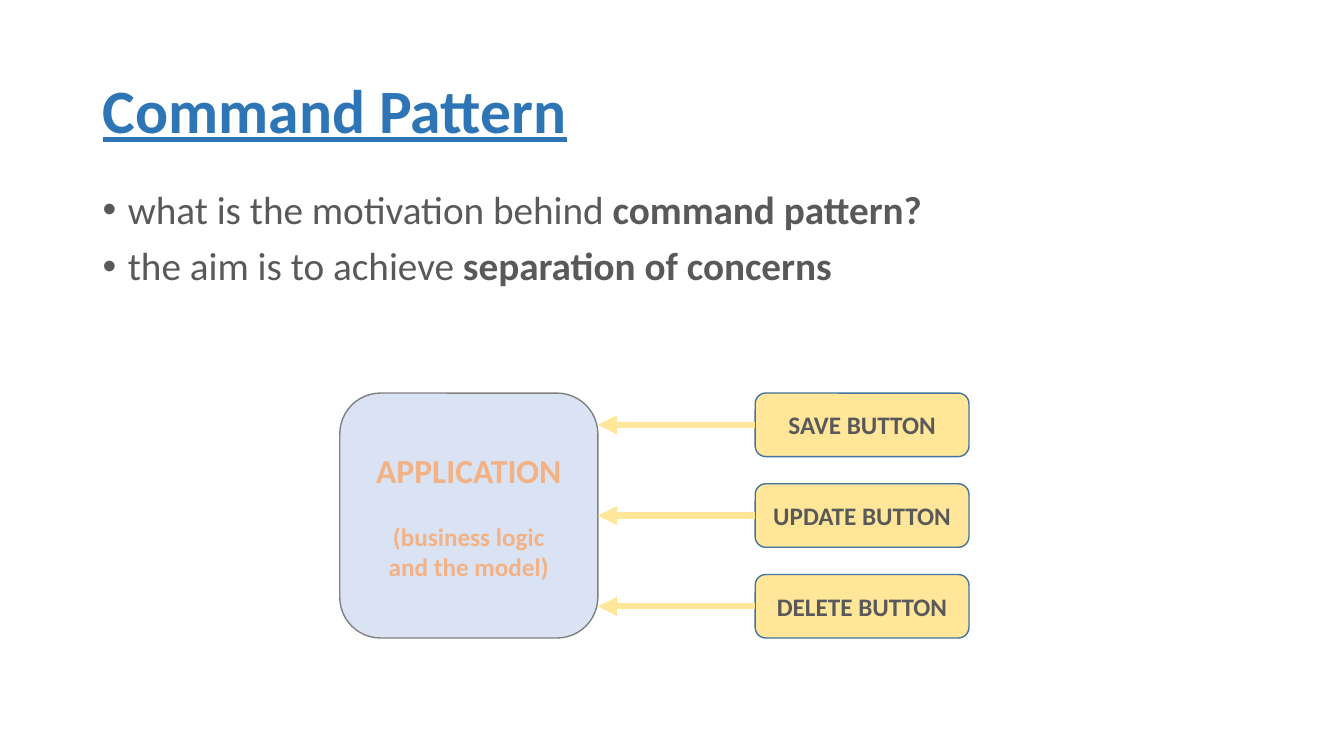
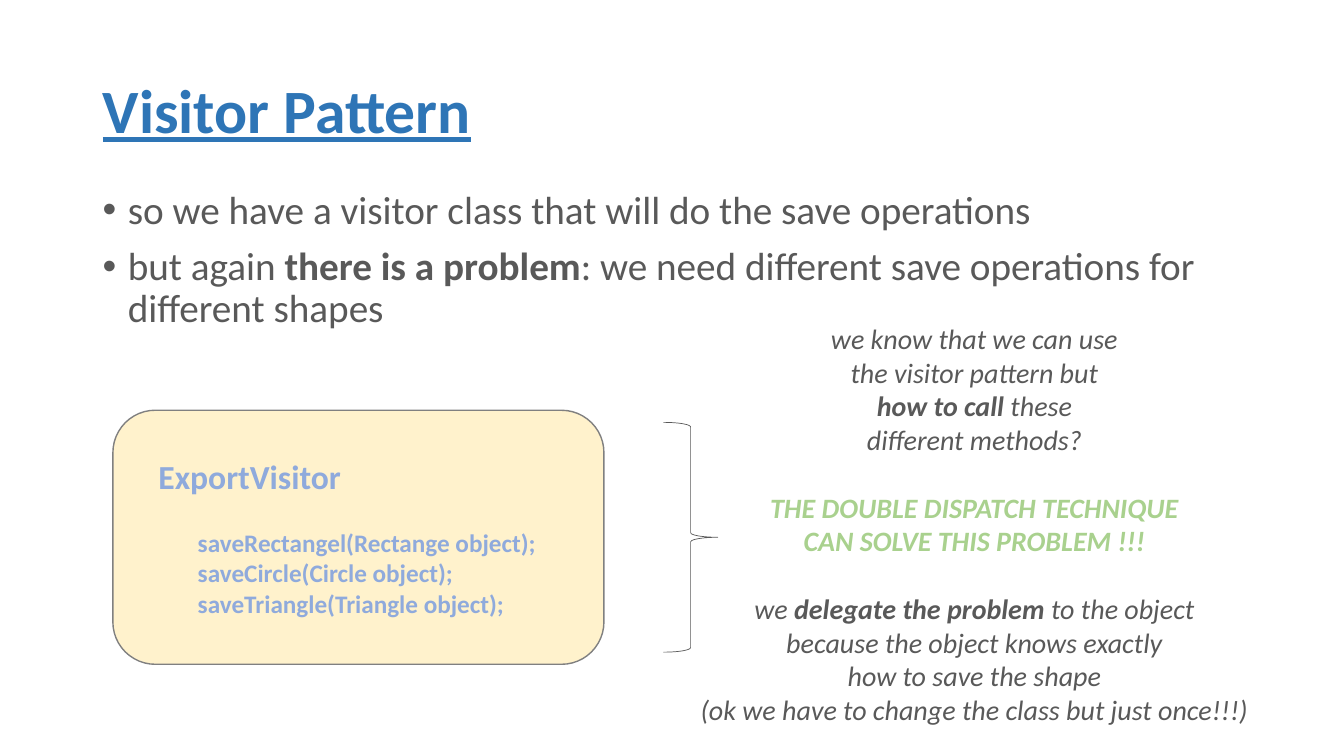
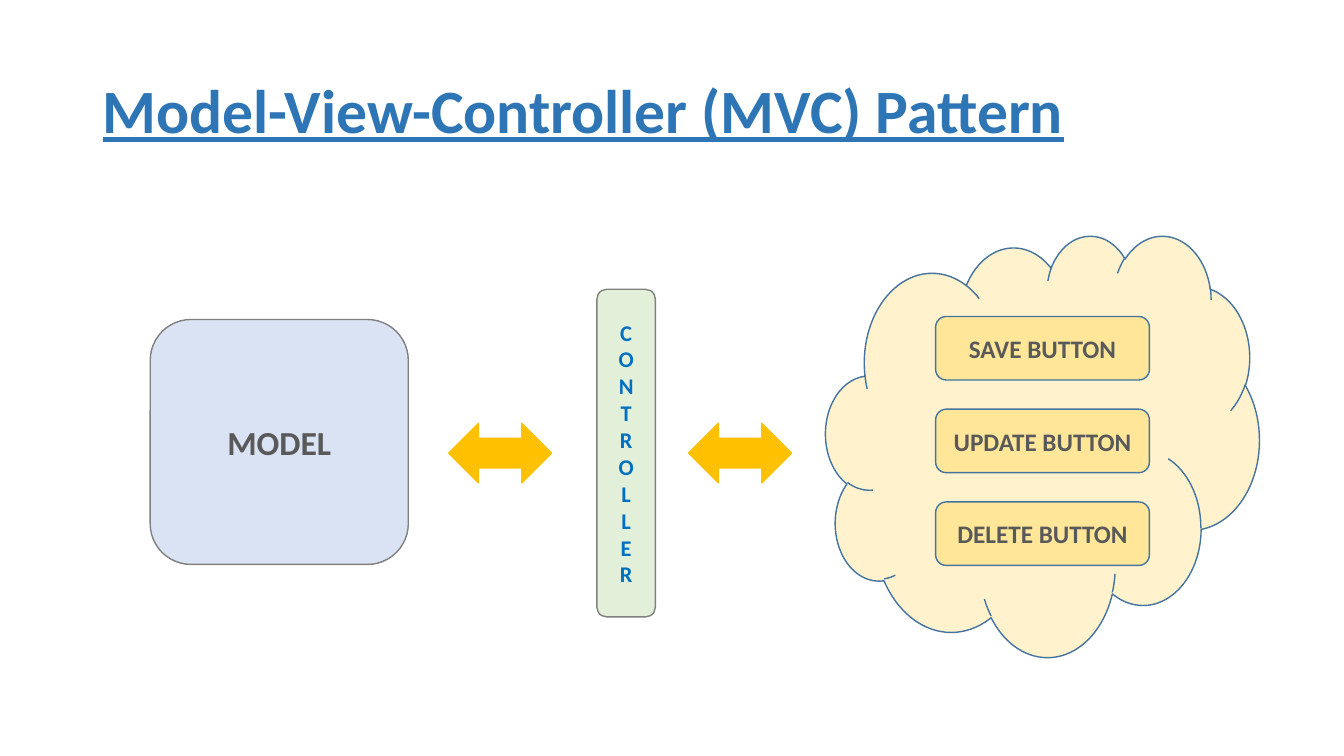
import pptx
import pptx.dml.color
import pptx.enum.shapes
import pptx.enum.text
import pptx.oxml
import pptx.oxml.ns
import pptx.util

Inches = pptx.util.Inches
Pt = pptx.util.Pt
SHAPE = pptx.enum.shapes.MSO_SHAPE
ALIGN = pptx.enum.text.PP_ALIGN
ANCHOR = pptx.enum.text.MSO_ANCHOR

# Shared palette
GRAY, EDGE_GRAY, EDGE_BLUE = "595959", "808080", "43739E"
TITLE_BLUE, PALE_BLUE = "2E75B6", "DAE3F3"
YELLOW, PALE_YELLOW, GOLD = "FFE699", "FFF2CC", "FFC000"

BUTTON_NAMES = ("SAVE BUTTON", "UPDATE BUTTON", "DELETE BUTTON")
BUTTON_WIDTH, BUTTON_HEIGHT = 2.12, 0.63


def color(value):
    return pptx.dml.color.RGBColor.from_string(value)


def xml_element(tag, **attributes):
    element = pptx.oxml.parse_xml(
        f"<a:{tag} {pptx.oxml.ns.nsdecls('a')}/>")
    for name, value in attributes.items():
        element.set(name, value)
    return element


class PatternDeck:
    """Holds the style and the current slide."""

    font_name = "Calibri"

    def __init__(self):
        self.deck = pptx.Presentation()
        self.deck.slide_width = Inches(13.33)
        self.deck.slide_height = Inches(7.5)
        self.slide = None

    def add_page(self, title):
        self.slide = self.deck.slides.add_slide(self.deck.slide_layouts[5])
        holder = self.slide.shapes.title
        place = {"left": 0.92, "top": 0.4, "width": 11.5, "height": 1.45}
        for name, value in place.items():
            setattr(holder, name, Inches(value))
        frame = holder.text_frame
        frame.auto_size = pptx.enum.text.MSO_AUTO_SIZE.NONE
        frame.vertical_anchor = ANCHOR.MIDDLE
        self.fill_paragraph(frame.paragraphs[0], title, 44, TITLE_BLUE,
                            {"bold": True, "underline": True},
                            {"alignment": ALIGN.LEFT, "line_spacing": 0.9})

    def fill_paragraph(self, para, text, size, hue=GRAY, font=None,
                       layout=None, indent=0, bullet=False):
        """Fill a paragraph; text between ** marks is bold."""
        properties = para._p.get_or_add_pPr()
        if indent:
            properties.set("marL", str(Inches(indent)))
        if bullet:
            properties.set("indent", str(-Inches(indent)))
            properties.append(xml_element("buFont", typeface="Arial"))
            properties.append(xml_element("buChar", char="•"))
        for name, value in (layout or {}).items():
            setattr(para, name, value)
        for index, part in enumerate(text.split("**")):
            if not part:
                continue
            span = para.add_run()
            span.text = part
            formats = {"name": self.font_name, "size": Pt(size),
                       "bold": index % 2 == 1, **(font or {})}
            for name, value in formats.items():
                setattr(span.font, name, value)
            span.font.color.rgb = color(hue)

    def fill_frame(self, frame, lines):
        """Each line is a dict of arguments for fill_paragraph."""
        for index, line in enumerate(lines):
            para = frame.add_paragraph() if index else frame.paragraphs[0]
            self.fill_paragraph(para, **line)

    def text_box(self, left, top, width, height, lines, wrap=True):
        box = self.slide.shapes.add_textbox(
            Inches(left), Inches(top), Inches(width), Inches(height))
        box.text_frame.word_wrap = wrap
        self.fill_frame(box.text_frame, lines)

    def bullets(self, *texts):
        lines = []
        for index, text in enumerate(texts):
            layout = {"line_spacing": 0.9,
                      "space_before": Pt(10 if index else 0)}
            lines.append({"text": text, "size": 28, "layout": layout,
                          "indent": 0.25, "bullet": True})
        self.text_box(0.92, 1.84, 11.5, 5.34, lines)

    def shape(self, kind, left, top, width, height, fill, edge,
              lines=(), edge_width=1):
        shape = self.slide.shapes.add_shape(
            kind, Inches(left), Inches(top), Inches(width), Inches(height))
        shape.shadow.inherit = False
        if fill:
            shape.fill.solid()
            shape.fill.fore_color.rgb = color(fill)
        else:
            shape.fill.background()
        shape.line.color.rgb = color(edge)
        shape.line.width = Pt(edge_width)
        shape.text_frame.vertical_anchor = ANCHOR.MIDDLE
        self.fill_frame(shape.text_frame, lines)
        return shape

    def panel(self, left, top, width, height, fill, lines, edge=EDGE_GRAY):
        return self.shape(SHAPE.ROUNDED_RECTANGLE, left, top, width, height,
                          fill, edge, lines)

    def button_column(self, left, top, pitch):
        return [self.panel(left, top + index * pitch, BUTTON_WIDTH,
                           BUTTON_HEIGHT, YELLOW, [centered(name, 18)],
                           EDGE_BLUE)
                for index, name in enumerate(BUTTON_NAMES)]

    def arrow(self, button, target):
        """Arrow from a button's left side straight to the target's right."""
        middle = button.top + button.height // 2
        arrow = self.slide.shapes.add_connector(
            pptx.enum.shapes.MSO_CONNECTOR.STRAIGHT,
            button.left, middle, target.left + target.width, middle)
        arrow.begin_connect(button, 1)
        if abs(middle - target.top - target.height // 2) < Inches(0.01):
            arrow.end_connect(target, 3)
        arrow.line.color.rgb = color(YELLOW)
        arrow.line.width = Pt(4.5)
        properties = arrow._element.spPr
        properties.find(pptx.oxml.ns.qn("a:ln")).append(
            xml_element("tailEnd", type="triangle"))
        properties.append(xml_element("effectLst"))


def centered(text, size, hue=GRAY, before=0, **font):
    return {"text": text, "size": size, "hue": hue,
            "font": font or {"bold": True},
            "layout": {"alignment": ALIGN.CENTER, "space_before": Pt(before)}}


def command_page(pages):
    pages.add_page("Command Pattern")
    pages.bullets("what is the motivation behind **command pattern?**",
                  "the aim is to achieve **separation of concerns**")

    # Buttons that call the application
    buttons = pages.button_column(7.49, 3.9, 0.9)
    orange = "F4B183"
    application = pages.panel(3.37, 3.9, 2.56, 2.43, PALE_BLUE, [
        centered("APPLICATION", 24, orange),
        centered("(business logic", 18, orange, before=22),
        centered("and the model)", 18, orange)])
    for button in buttons:
        pages.arrow(button, application)


def visitor_page(pages):
    pages.add_page("Visitor Pattern")
    pages.bullets(
        "so we have a visitor class that will do the save operations",
        "but again **there is a problem**: we need different save operations "
        "for different shapes")

    # Class card: name, then its methods
    members = [("ExportVisitor", 24, 0.23, 0),
               ("saveRectangel(Rectange object);", 18, 0.62, 22),
               ("saveCircle(Circle object);", 18, 0.62, 0),
               ("saveTriangle(Triangle object);", 18, 0.62, 0)]
    pages.panel(1.12, 4.07, 4.87, 2.52, PALE_YELLOW, [
        {"text": text, "size": size, "hue": "8FAADC", "indent": indent,
         "font": {"bold": True},
         "layout": {"alignment": ALIGN.LEFT, "space_before": Pt(before)}}
        for text, size, indent, before in members])
    pages.shape(SHAPE.RIGHT_BRACE, 6.58, 4.19, 0.54, 2.28, None, GRAY,
                edge_width=0.5)

    # Remarks beside the brace, in three groups
    groups = [
        (GRAY, ["we know that we can use", "the visitor pattern but",
                "**how to call** these", "different methods?"]),
        ("A9D18E", ["**THE DOUBLE DISPATCH TECHNIQUE**",
                    "**CAN SOLVE THIS PROBLEM !!!**"]),
        (GRAY, ["we **delegate the problem **to the object",
                "because the object knows exactly", "how to save the shape",
                "(ok we have to change the class but just once!!!)"])]
    remarks = []
    for hue, texts in groups:
        for index, text in enumerate(texts):
            gap = 24.4 if remarks and index == 0 else 0
            remarks.append(centered(text, 20, hue, gap, italic=True))
    pages.text_box(6.83, 3.14, 5.67, 4.14, remarks, wrap=False)


def controller_page(pages):
    # View: cloud with buttons
    pages.add_page("Model-View-Controller (MVC) Pattern")
    pages.shape(SHAPE.CLOUD, 8.19, 2.33, 4.3, 4.18, PALE_YELLOW, EDGE_BLUE)
    pages.button_column(9.28, 3.14, 0.92)

    # Model and controller
    pages.panel(1.49, 3.17, 2.56, 2.43, PALE_BLUE, [centered("MODEL", 24)])
    pages.panel(5.92, 2.87, 0.58, 3.25, "E2F0D9",
                [centered(letter, 16, "0070C0") for letter in "CONTROLLER"])

    # Two-way arrows between the parts
    for left in (4.45, 6.83):
        pages.shape(SHAPE.LEFT_RIGHT_ARROW, left, 4.2, 1.02, 0.59, GOLD, GOLD)


def main():
    pages = PatternDeck()
    command_page(pages)
    visitor_page(pages)
    controller_page(pages)
    pages.deck.save("out.pptx")


if __name__ == "__main__":
    main()
